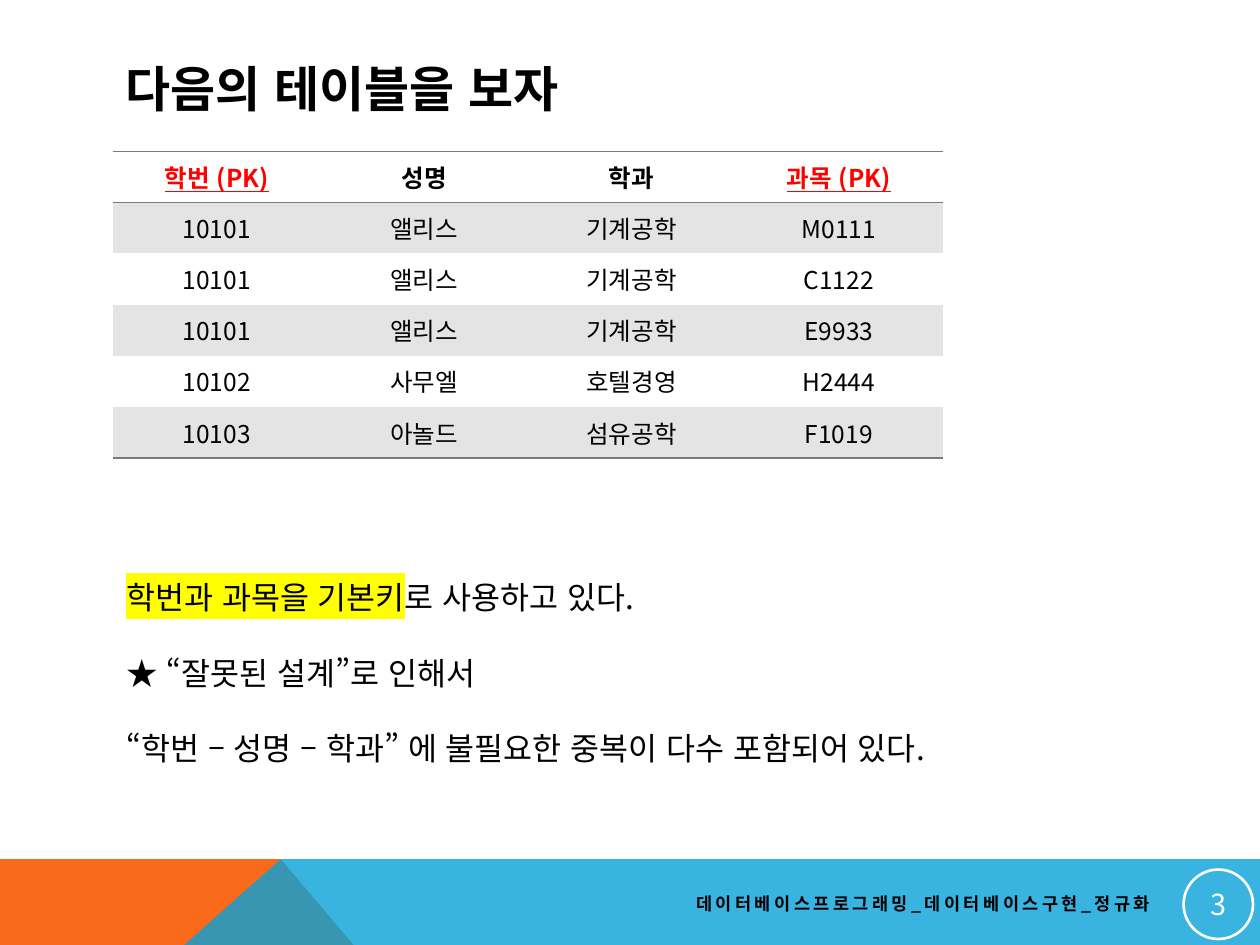
from lxml.etree import SubElement
from pptx import Presentation
from pptx.dml.color import RGBColor
from pptx.enum.lang import MSO_LANGUAGE_ID
from pptx.enum.shapes import MSO_SHAPE
from pptx.enum.text import MSO_ANCHOR, PP_ALIGN
from pptx.oxml import parse_xml
from pptx.oxml.ns import nsdecls, qn
from pptx.util import Cm, Pt

FONT = "Noto Sans CJK KR"
BLACK = RGBColor(0x00, 0x00, 0x00)
WHITE = RGBColor(0xFF, 0xFF, 0xFF)
RED = RGBColor(0xFF, 0x00, 0x00)
YELLOW = RGBColor(0xFF, 0xFF, 0x00)
ORANGE = RGBColor(0xF9, 0x6A, 0x1B)
BLUE = RGBColor(0x08, 0xA1, 0xD9)
RULE = RGBColor(0x79, 0x7B, 0x7E)
BAND = RGBColor(0xE4, 0xE4, 0xE5)
PLAIN_TABLE_STYLE = "{2D5ABB26-0587-4C30-8999-92F81FD0307C}"

TITLE = "다음의 테이블을 보자"
HEADER = ["학번 (PK)", "성명", "학과", "과목 (PK)"]
RECORDS = [
    ["10101", "앨리스", "기계공학", "M0111"],
    ["10101", "앨리스", "기계공학", "C1122"],
    ["10101", "앨리스", "기계공학", "E9933"],
    ["10102", "사무엘", "호텔경영", "H2444"],
    ["10103", "아놀드", "섬유공학", "F1019"],
]
BODY = [
    [("학번과 과목을 기본키", YELLOW), ("로 사용하고 있다.", None)],
    [("★ “잘못된 설계”로 인해서", None)],
    [("“학번 – 성명 – 학과” 에 불필요한 중복이 다수 포함되어 있다.", None)],
]
FOOTER = "데이터베이스프로그래밍_데이터베이스구현_정규화"
PAGE_NUMBER = "3"

SLIDE_WIDTH, SLIDE_HEIGHT = 25.4, 19.05
BAND_TOP, BAND_BOTTOM = 17.32, 22.35
PEAK, ORANGE_FOOT = 5.66, 9.93
COLUMN_WIDTH, ROW_HEIGHT = 4.18, 1.03


def add_text(paragraph, text, size, color=BLACK, bold=False, underline=False,
             align=PP_ALIGN.LEFT, spacing=None, highlight=None):
    paragraph.alignment = align
    run = paragraph.add_run()
    run.text = text
    font = run.font
    font.language_id = MSO_LANGUAGE_ID.KOREAN
    font.size = Pt(size)
    font.bold = bold
    font.underline = underline
    font.color.rgb = color
    properties = run._r.get_or_add_rPr()
    if spacing:
        properties.set("spc", str(spacing * 100))
    if highlight:
        mark = SubElement(properties, qn("a:highlight"))
        SubElement(mark, qn("a:srgbClr")).set("val", str(highlight))
    font.name = FONT
    SubElement(properties, qn("a:ea")).set("typeface", FONT)


def add_box(slide, left, top, width, height, anchor=MSO_ANCHOR.MIDDLE):
    box = slide.shapes.add_textbox(Cm(left), Cm(top), Cm(width), Cm(height))
    box.text_frame.word_wrap = True
    box.text_frame.vertical_anchor = anchor
    return box.text_frame


def add_band(slide, points, color, opacity=100):
    start, *rest = [(Cm(x), Cm(y)) for x, y in points]
    builder = slide.shapes.build_freeform(*start)
    builder.add_line_segments(rest, close=True)
    shape = builder.convert_to_shape()
    shape.shadow.inherit = False
    shape.line.fill.background()
    shape.fill.solid()
    shape.fill.fore_color.rgb = color
    if opacity < 100:
        tint = shape._element.spPr.find(qn("a:solidFill"))[0]
        SubElement(tint, qn("a:alpha")).set("val", str(opacity * 1000))


def set_borders(cell, sides):
    properties = cell._tc.get_or_add_tcPr()
    for position, side in enumerate(sides):
        properties.insert(position, parse_xml(
            f'<a:ln{side} {nsdecls("a")} w="{Pt(1)}"><a:solidFill>'
            f'<a:srgbClr val="{RULE}"/></a:solidFill></a:ln{side}>'))


def add_record_table(slide):
    rows = [HEADER] + RECORDS
    table = slide.shapes.add_table(
        len(rows), len(HEADER), Cm(2.28), Cm(3.05),
        Cm(COLUMN_WIDTH * len(HEADER)), Cm(ROW_HEIGHT * len(rows))).table
    table._tbl.tblPr.find(qn("a:tableStyleId")).text = PLAIN_TABLE_STYLE
    for row_index, values in enumerate(rows):
        is_header = row_index == 0
        for column_index, value in enumerate(values):
            cell = table.cell(row_index, column_index)
            cell.vertical_anchor = MSO_ANCHOR.MIDDLE
            is_key = is_header and "PK" in value
            add_text(cell.text_frame.paragraphs[0], value, 14,
                     color=RED if is_key else BLACK, bold=is_header,
                     underline=is_key, align=PP_ALIGN.CENTER)
            if row_index % 2:
                cell.fill.solid()
                cell.fill.fore_color.rgb = BAND
            else:
                cell.fill.background()
            if is_header:
                set_borders(cell, "TB")
            elif row_index == len(rows) - 1:
                set_borders(cell, "B")


def add_page_number(slide):
    circle = slide.shapes.add_shape(
        MSO_SHAPE.OVAL, Cm(23.86), Cm(17.53), Cm(1.4), Cm(1.4))
    circle.shadow.inherit = False
    circle.fill.background()
    circle.line.color.rgb = WHITE
    circle.line.width = Pt(1.5)
    frame = circle.text_frame
    frame.margin_left = frame.margin_right = Cm(0.03)
    frame.margin_top = frame.margin_bottom = Cm(0.03)
    frame.vertical_anchor = MSO_ANCHOR.MIDDLE
    add_text(frame.paragraphs[0], PAGE_NUMBER, 16.5, color=WHITE,
             align=PP_ALIGN.CENTER)


def main():
    presentation = Presentation()
    presentation.slide_width = Cm(SLIDE_WIDTH)
    presentation.slide_height = Cm(SLIDE_HEIGHT)
    slide = presentation.slides.add_slide(presentation.slide_layouts[6])

    add_band(slide, [(0, BAND_TOP), (PEAK, BAND_TOP),
                     (ORANGE_FOOT, BAND_BOTTOM), (0, BAND_BOTTOM)], ORANGE)
    add_band(slide, [(PEAK, BAND_TOP), (SLIDE_WIDTH, BAND_TOP),
                     (SLIDE_WIDTH, BAND_BOTTOM), (0, BAND_BOTTOM)],
             BLUE, opacity=80)

    title = add_box(slide, 2.29, 1.02, 20.88, 1.52)
    add_text(title.paragraphs[0], TITLE, 28, bold=True)

    footer = add_box(slide, 10.3, 17.83, 13.13, 0.76)
    add_text(footer.paragraphs[0], FOOTER, 10, bold=True,
             align=PP_ALIGN.RIGHT, spacing=2)
    add_page_number(slide)

    body = add_box(slide, 2.3, 11.53, 18.19, 4.12, anchor=MSO_ANCHOR.TOP)
    for index, pieces in enumerate(BODY):
        paragraph = body.add_paragraph() if index else body.paragraphs[0]
        if index:
            paragraph.space_before = Pt(21.5)
        for text, highlight in pieces:
            add_text(paragraph, text, 18, highlight=highlight)

    add_record_table(slide)
    presentation.save("out.pptx")


if __name__ == "__main__":
    main()
